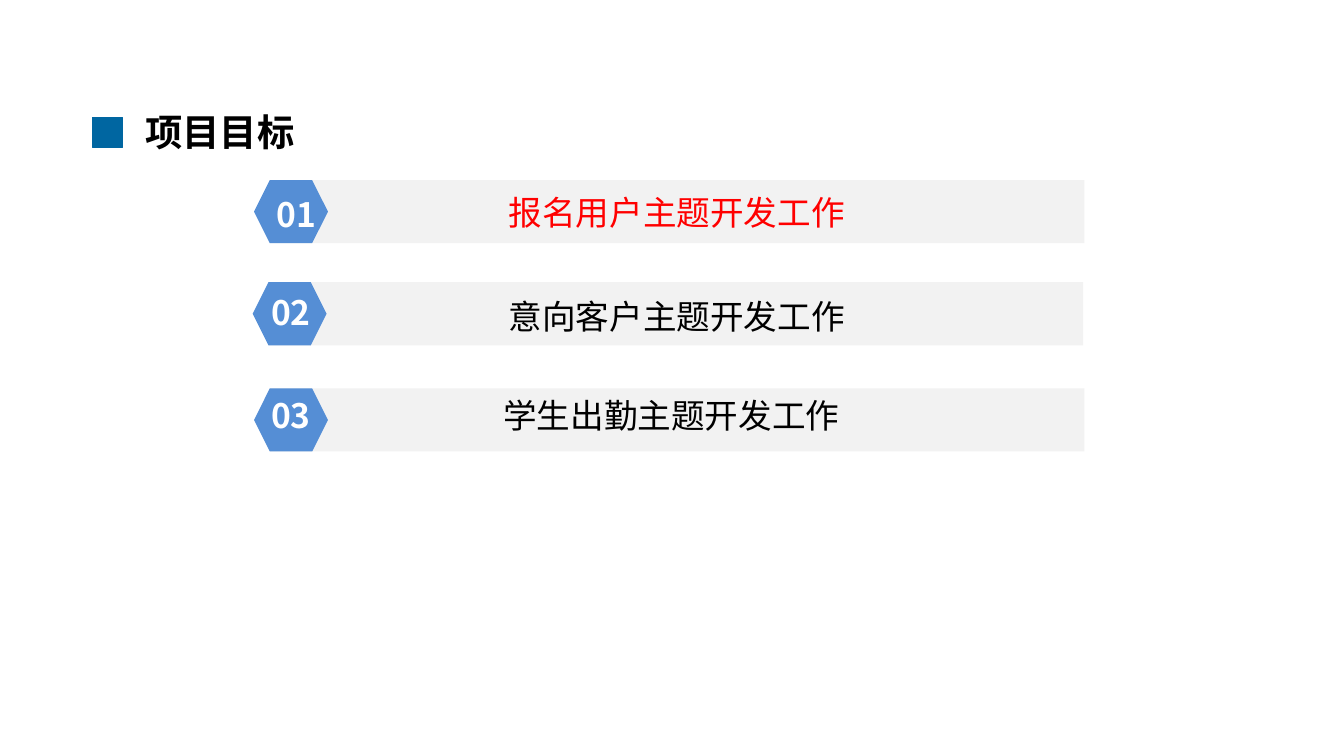
from itertools import product

from pptx import Presentation
from pptx.dml.color import RGBColor
from pptx.enum.shapes import MSO_SHAPE
from pptx.enum.text import MSO_ANCHOR, MSO_AUTO_SIZE, PP_ALIGN
from pptx.oxml.ns import qn
from pptx.util import Inches, Pt

COLOURS = {
    "marker": "0066A1",
    "bar": "F2F2F2",
    "badge": "558ED5",
    "current": "FF0000",
    "text": "000000",
    "number": "FFFFFF",
}
FONT = "Noto Sans CJK SC"
WIDTH = Inches(10)
HEIGHT = WIDTH * 9 // 16
COLUMNS = 100
CELL = WIDTH / COLUMNS

GOALS = [
    ("01", "报名用户主题开发工作", "current", (18.9, 13.4), (0.4, 0.5), (9.4, 0.4)),
    ("02", "意向客户主题开发工作", "text", (18.8, 21), (0.1, 0.2), (9.5, 0.5)),
    ("03", "学生出勤主题开发工作", "text", (18.9, 28.9), (0, 0), (9, 0)),
]


def colour(name):
    """Return the named colour."""
    return RGBColor.from_string(COLOURS[name])


def write(frame, text, size=18, name="text", bold=False, align=PP_ALIGN.CENTER):
    """Put one formatted line of text into a text frame."""
    frame.word_wrap = True
    frame.auto_size = MSO_AUTO_SIZE.NONE
    frame.vertical_anchor = MSO_ANCHOR.MIDDLE
    para = frame.paragraphs[0]
    para.alignment = align
    span = para.add_run()
    span.text = text
    span.font.size = Pt(size)
    span.font.bold = bold
    span.font.color.rgb = colour(name)
    span.font.name = FONT
    east_asian = span.font._element.makeelement(qn("a:ea"), {"typeface": FONT})
    span.font._element.find(qn("a:latin")).addnext(east_asian)


class Page:
    """Holds the current slide and draws on a grid of square cells."""

    def __init__(self, deck):
        """Add a slide with a title to the deck."""
        self.slide = deck.slides.add_slide(deck.slide_layouts[5])

    def cells(self, *lengths):
        """Turn grid lengths into slide lengths."""
        return [round(length * CELL) for length in lengths]

    def title(self, text, *place):
        """Move the title placeholder and fill it."""
        box = self.slide.shapes.title
        box.left, box.top, box.width, box.height = self.cells(*place)
        write(box.text_frame, text, size=20, bold=True, align=PP_ALIGN.LEFT)

    def shape(self, kind, name, *place, line=None):
        """Draw a filled preset shape."""
        shape = self.slide.shapes.add_shape(kind, *self.cells(*place))
        shape.shadow.inherit = False
        shape.fill.solid()
        shape.fill.fore_color.rgb = colour(name)
        if line:
            shape.line.color.rgb = colour(name)
            shape.line.width = Pt(line)
        else:
            shape.line.fill.background()

    def label(self, text, *place, **style):
        """Add a one-line text box."""
        box = self.slide.shapes.add_textbox(*self.cells(*place))
        write(box.text_frame, text, **style)

    def marker(self, left, top, side):
        """Draw a square made of four smaller ones."""
        for row, column in product(range(2), repeat=2):
            self.shape(MSO_SHAPE.RECTANGLE, "marker", left + column * side,
                       top + row * side, side, side, line=0.5)

    def goal(self, number, text, name, origin, number_shift, text_shift):
        """Draw a numbered bar with its wording."""
        left, top = origin
        self.shape(MSO_SHAPE.RECTANGLE, "bar", left + 1.2, top, 60.6, 4.7)
        self.shape(MSO_SHAPE.HEXAGON, "badge", left, top, 5.5, 4.7)
        self.label(number, left + number_shift[0], top + number_shift[1], 5.5, 4,
                   name="number", bold=True)
        self.label(text, left + text_shift[0], top + text_shift[1], 44.1, 4, name=name)


def main():
    """Build and save the deck."""
    deck = Presentation()
    deck.slide_width, deck.slide_height = WIDTH, HEIGHT
    page = Page(deck)
    page.title("项目目标", 9.8, 7.6, 65.4, 4.4)
    page.marker(6.9, 8.74, 1.12)
    for goal in GOALS:
        page.goal(*goal)
    deck.save("out.pptx")


if __name__ == "__main__":
    main()
